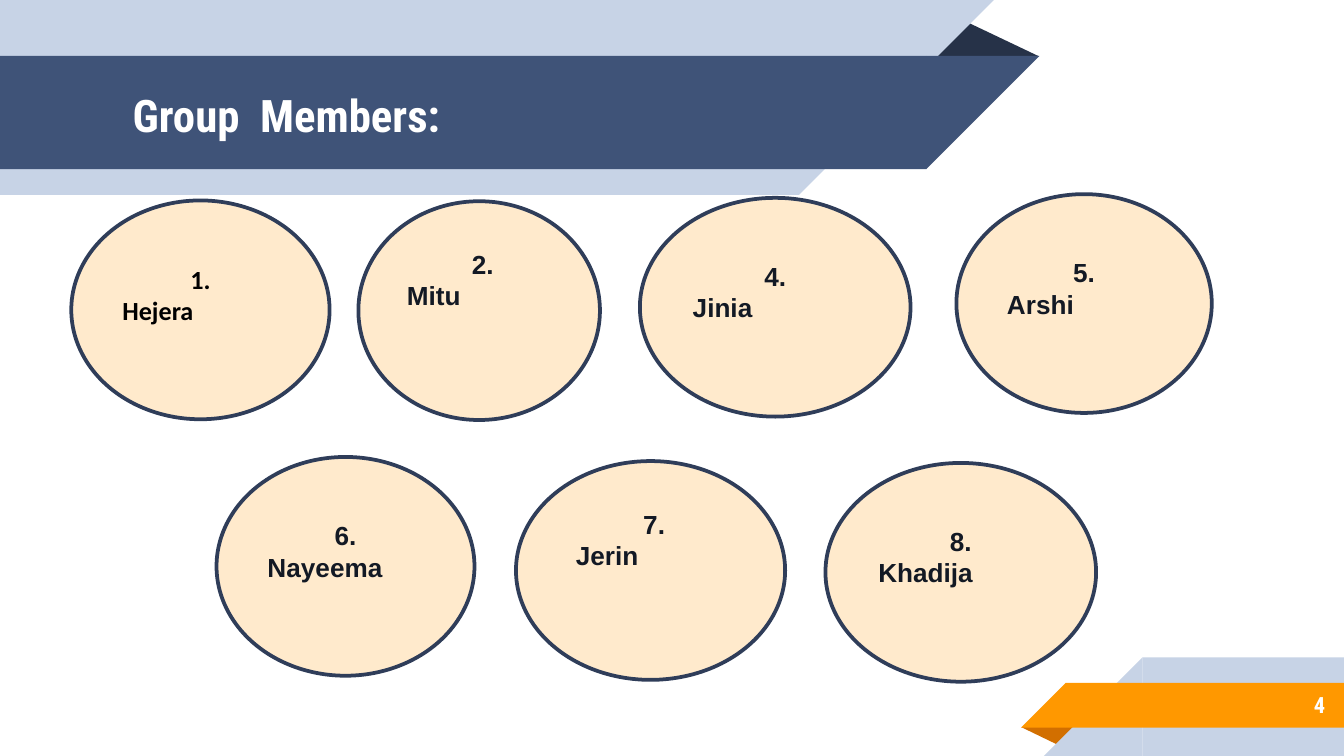
"""Build the group members slide."""
from pptx import Presentation
from pptx.dml.color import RGBColor
from pptx.enum.shapes import MSO_SHAPE
from pptx.enum.text import MSO_ANCHOR, PP_ALIGN
from pptx.util import Pt

WHITE = RGBColor(0xFF, 0xFF, 0xFF)
BLACK = RGBColor(0, 0, 0)
INK = RGBColor(0x13, 0x19, 0x24)
NAVY = RGBColor(0x26, 0x32, 0x48)
BLUE = RGBColor(0x3F, 0x53, 0x78)
PALE = RGBColor(0xC7, 0xD3, 0xE6)
RUST = RGBColor(0xD2, 0x6F, 0x00)
ORANGE = RGBColor(0xFF, 0x98, 0x00)
CREAM = RGBColor(0xFF, 0xEA, 0xCC)
EDGE = RGBColor(0x2F, 0x3D, 0x59)

RECT = MSO_SHAPE.RECTANGLE
CORNER = MSO_SHAPE.RIGHT_TRIANGLE
FOLD = MSO_SHAPE.ISOSCELES_TRIANGLE

deck = Presentation()
deck.slide_width, deck.slide_height = Pt(720), Pt(405)
slide = deck.slides.add_slide(deck.slide_layouts[6])


def draw(kind, box, fill, turn=0):
    shape = slide.shapes.add_shape(kind, *[Pt(n) for n in box])
    shape.shadow.inherit = False
    shape.fill.solid()
    shape.fill.fore_color.rgb = fill
    shape.line.fill.background()
    shape.rotation = turn
    return shape


def style(para, font, size, color, align):
    para.alignment = align
    for run in para.runs:
        run.font.name = font
        run.font.size = Pt(size)
        run.font.bold = True
        run.font.color.rgb = color


ribbons = [
    (FOLD, (495.5, 10.4, 61.2, 19.8), NAVY, 0),
    (RECT, (0, 0, 428, 104.4), PALE, 0),
    (CORNER, (428, 0, 104.4, 104.4), PALE, 90),
    (RECT, (0, 30, 496.2, 60.6), BLUE, 0),
    (CORNER, (496.2, 30, 60.6, 60.6), BLUE, 90),
    (FOLD, (547.2, 389.6, 31, 10.2), RUST, 180),
    (RECT, (612, 352.2, 108, 52.8), PALE, 0),
    (CORNER, (559.2, 352.2, 52.8, 52.8), PALE, 270),
    (RECT, (571, 365.8, 149, 24), ORANGE, 0),
    (CORNER, (547, 365.8, 24, 24), ORANGE, 270),
]
for kind, box, fill, turn in ribbons:
    shape = draw(kind, box, fill, turn)
    if kind == FOLD:
        shape.adjustments[0] = 0.32

labels = [
    ("Group  Members:", (64, 31, 414, 60.5), 24, PP_ALIGN.LEFT),
    ("4", (600, 365, 117, 25.2), 12, PP_ALIGN.RIGHT),
]
for text, box, size, align in labels:
    frame = slide.shapes.add_textbox(*[Pt(n) for n in box]).text_frame
    frame.word_wrap = True
    frame.vertical_anchor = MSO_ANCHOR.MIDDLE
    frame.margin_left = frame.margin_right = Pt(7.2)
    frame.margin_top = frame.margin_bottom = Pt(7.2)
    frame.text = text
    style(frame.paragraphs[0], "Roboto Condensed", size, WHITE, align)

members = [
    ("1.", "Hejera", 38.2, 107.4, 138.4, 1, "Calibri", BLACK),
    (" 2.", "Mitu", 192, 107.8, 129.4, 2, "Arial", INK),
    ("4.", "Jinia", 342.8, 106, 145, 1, "Arial", INK),
    ("5.", "Arshi", 512.4, 104, 136.8, 1, "Arial", INK),
    ("6.", "Nayeema", 116, 244.8, 138.2, 1, "Arial", INK),
    (" 7.", " Jerin", 276.4, 247, 144.2, 2, "Arial", INK),
    ("8.", "Khadija", 442.2, 248, 145, 1, "Arial", INK),
]
for number, name, left, top, width, lift, font, color in members:
    oval = draw(MSO_SHAPE.OVAL, (left, top, width, 117.2), CREAM)
    oval.line.color.rgb = EDGE
    oval.line.width = Pt(2)
    frame = oval.text_frame
    frame.word_wrap = True
    frame.vertical_anchor = MSO_ANCHOR.MIDDLE
    frame.margin_bottom = Pt(3.6 + 16.5 * lift)
    frame.text = f"{number}\n{name}"
    for para, align in zip(frame.paragraphs, (PP_ALIGN.CENTER, PP_ALIGN.LEFT)):
        style(para, font, 14, color, align)

deck.save("out.pptx")
